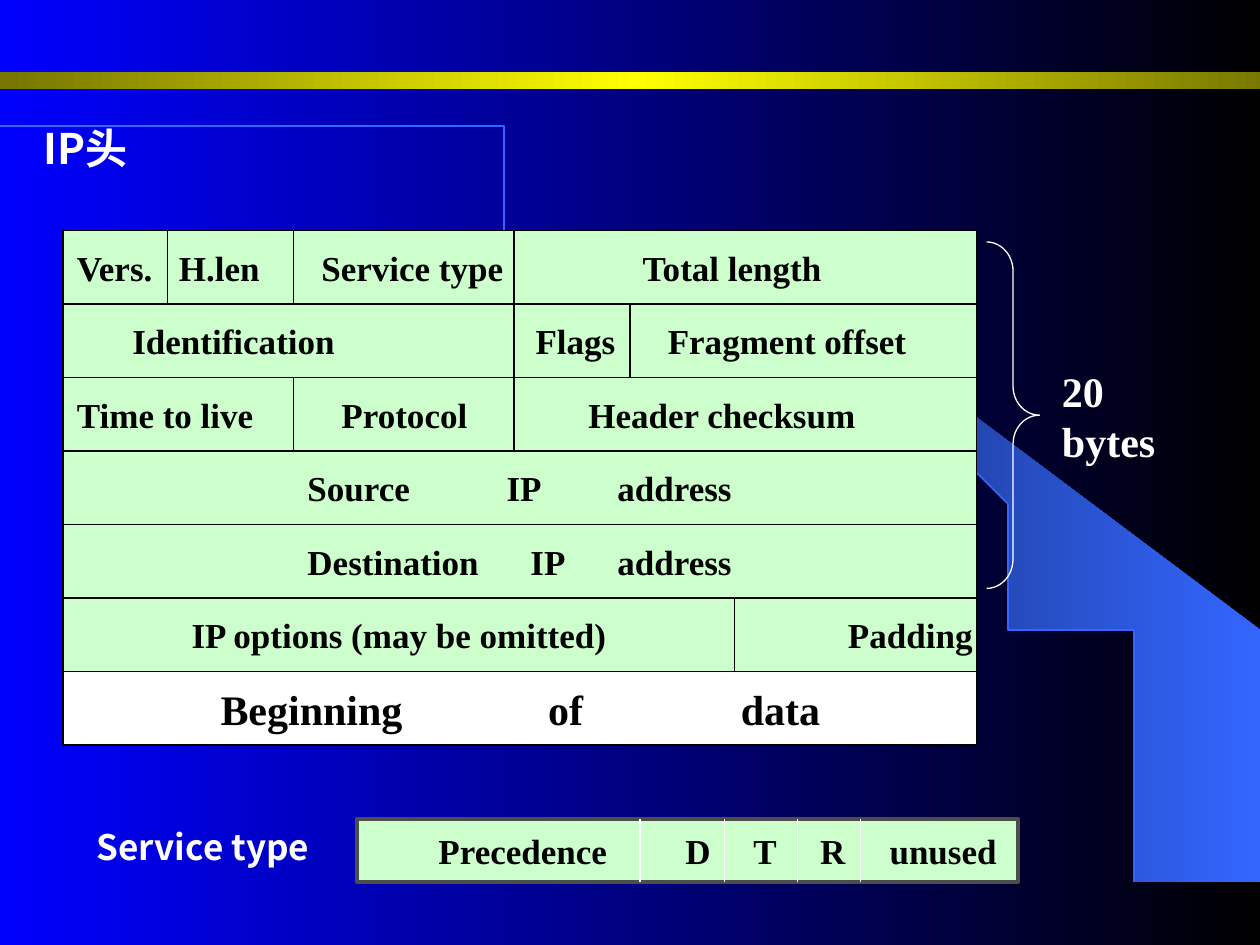
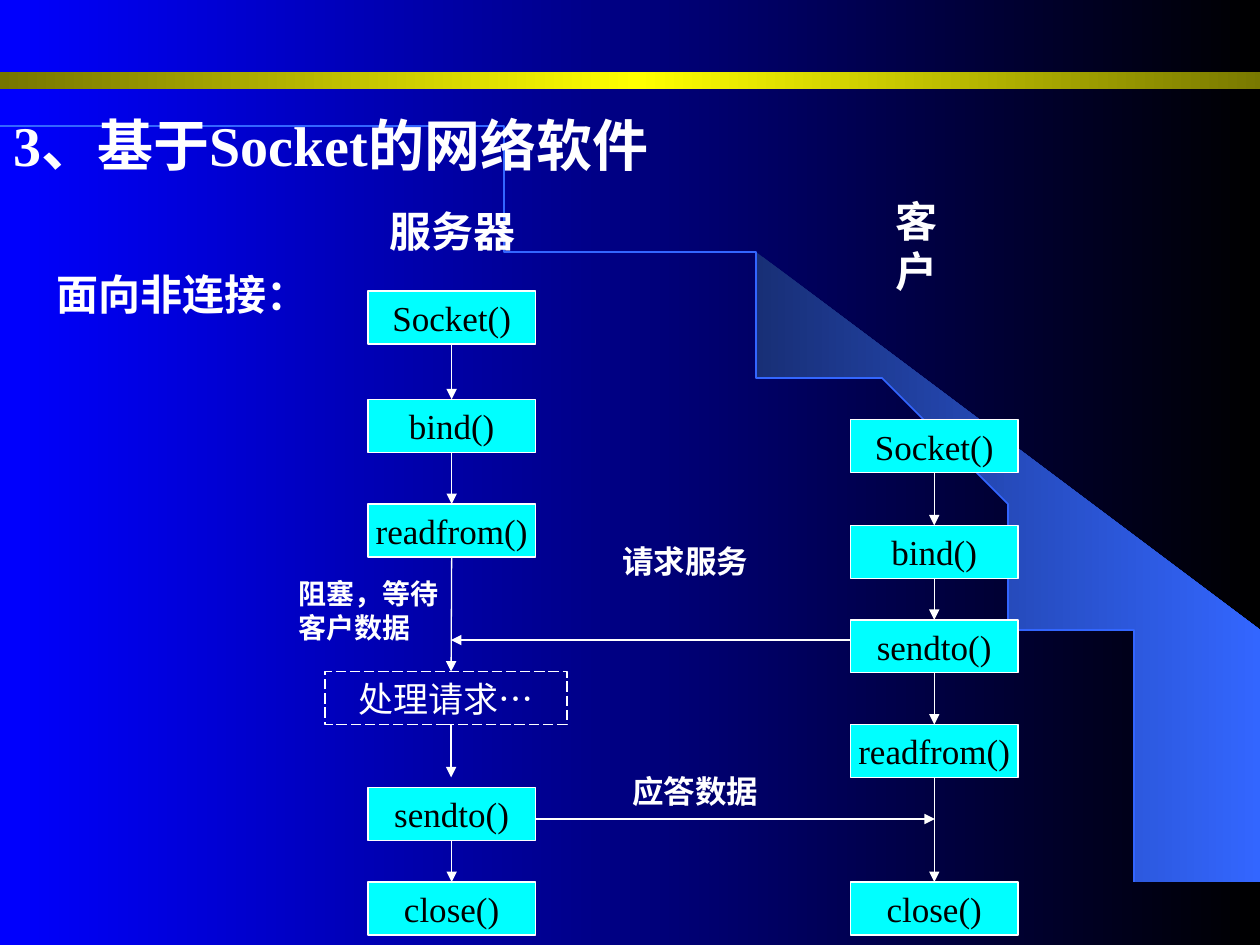
import pptx
import pptx.dml.color
import pptx.enum.dml
import pptx.enum.shapes
import pptx.enum.text
import pptx.oxml
import pptx.oxml.ns
import pptx.util
import copy
import lxml.etree

Inches = pptx.util.Inches
Pt = pptx.util.Pt
qn = pptx.oxml.ns.qn
rgb = pptx.dml.color.RGBColor.from_string
SHAPE = pptx.enum.shapes.MSO_SHAPE

WHITE, BLACK = "FFFFFF", "000000"
MINT, CYAN, BLUE = "CCFFCC", "00FFFF", "3366FF"
SERIF, SANS = "Times New Roman", "Noto Sans CJK SC"


def add_box(page, place, lines, size, color=WHITE, bold=True, font=SERIF, fill=None,
            edge=None, weight=0.75, stops=None, wrap=False):
    """Add a label, or a framed box when edge is set; stops are text starts from the left side."""
    place = [Inches(value) for value in place]
    if edge:
        box = page.shapes.add_shape(SHAPE.RECTANGLE, *place)
        box.shadow.inherit = False
        box.line.color.rgb = rgb(edge)
        box.line.width = Pt(weight)
        if fill:
            box.fill.solid()
            box.fill.fore_color.rgb = rgb(fill)
        else:
            box.fill.background()
    else:
        box = page.shapes.add_textbox(*place)
        box.text_frame.auto_size = pptx.enum.text.MSO_AUTO_SIZE.SHAPE_TO_FIT_TEXT
    frame = box.text_frame
    frame.word_wrap = wrap or bool(stops)
    if edge:
        frame.vertical_anchor = pptx.enum.text.MSO_ANCHOR.MIDDLE
    for number, line in enumerate(lines):
        para = frame.add_paragraph() if number else frame.paragraphs[0]
        centred = edge and not stops
        para.alignment = pptx.enum.text.PP_ALIGN.CENTER if centred else pptx.enum.text.PP_ALIGN.LEFT
        if stops:
            frame.margin_left, frame.margin_right = Inches(stops[0]), 0
            tabs = lxml.etree.SubElement(para._p.get_or_add_pPr(), qn("a:tabLst"))
            for stop in stops[1:]:
                lxml.etree.SubElement(tabs, qn("a:tab"), pos=str(Inches(stop - stops[0])), algn="l")
        span = para.add_run()
        span.text = line
        span.font.size = Pt(size)
        span.font.bold = bold
        span.font.color.rgb = rgb(color)
        span.font.name = font
        lxml.etree.SubElement(span._r.get_or_add_rPr(), qn("a:ea"), typeface=SANS)
    return box


def add_line(page, start, end, color=WHITE, arrow=False):
    line = page.shapes.add_connector(pptx.enum.shapes.MSO_CONNECTOR.STRAIGHT,
                                     *[Inches(value) for value in (*start, *end)])
    line.line.color.rgb = rgb(color)
    line.line.width = Pt(0.75)
    if arrow:
        lxml.etree.SubElement(line.line._get_or_add_ln(), qn("a:tailEnd"), type="triangle")
    lxml.etree.SubElement(line._element.spPr, qn("a:effectLst"))
    return line


deck = pptx.Presentation()
deck.slide_width, deck.slide_height = Inches(10), Inches(7.5)

# Shared background
background = deck.slide_master.background.fill
background.gradient()
background.gradient_angle = 0
for stop, color in zip(background.gradient_stops, ("0000FF", BLACK)):
    stop.color.rgb = rgb(color)

# Quarter ellipse, sampled from its Bezier curve
arc = []
for step in range(61):
    t = step / 60
    arc.append((3 * 5.08 * t * (1 - t) ** 2 + 3 * 9.2 * t ** 2 * (1 - t) + 9.2 * t ** 3,
                0.72 * (1 - t) ** 2 * (1 + 2 * t) + 3 * 3.73 * t ** 2 * (1 - t) + 7.45 * t ** 3))
beam = [(9.2, 7.45), (9.99, 7.45), (9.99, 4.52), (5.89, 2.27), (6.24, 2.51), (6.53, 2.71),
        (6.85, 2.96), (7.16, 3.23), (7.62, 3.69), (8.03, 4.17), (8.32, 4.59), (8.58, 5.03),
        (8.78, 5.46), (8.93, 5.86), (9.03, 6.2), (9.13, 6.62), (9.17, 6.98)]

# Shared beam, arc and gold band
pages = [deck.slides.add_slide(deck.slide_layouts[6]) for _ in range(2)]
for page in pages:
    outlines = []
    for points, closed in ((beam, True), (arc, False)):
        builder = page.shapes.build_freeform(*points[0], scale=Inches(1))
        builder.add_line_segments(points[1:], close=closed)
        outline = builder.convert_to_shape()
        outline.shadow.inherit = False
        outlines.append(outline)
    beam_shape, arc_shape = outlines
    beam_shape.line.fill.background()
    arc_shape.fill.background()
    arc_shape.line.color.rgb = rgb(BLUE)
    arc_shape.line.width = Pt(1)

    band = page.shapes.add_shape(SHAPE.RECTANGLE, 0, Inches(0.57), Inches(10.11), Inches(0.14))
    band.shadow.inherit = False
    band.line.fill.background()
    for shape, colors in ((beam_shape, ("182F76", BLUE)), (band, ("767600", "FFFF00", "767600"))):
        shape.fill.gradient()
        shape.fill.gradient_angle = 0
        stop_list = shape._element.spPr.find(qn("a:gradFill")).find(qn("a:gsLst"))
        if len(colors) == 3:
            stop_list.insert(1, copy.deepcopy(stop_list[0]))
            stop_list[1].set("pos", "50000")
        for stop, color in zip(shape.fill.gradient_stops, colors):
            stop.color.rgb = rgb(color)

header_page, socket_page = pages

# Slide 1: rows of the IP header, each with its fields and their starts
header_rows = [
    ("Vers.\tH.len\tService type\tTotal length", (0.11, 0.92, 2.05, 4.6)),
    ("Identification\tFlags\tFragment offset", (0.55, 3.75, 4.8)),
    ("Time to live\tProtocol\tHeader checksum", (0.11, 2.21, 4.17)),
    ("Source\tIP\taddress", (1.94, 3.52, 4.4)),
    ("Destination\tIP\taddress", (1.94, 3.71, 4.4)),
    ("IP options (may be omitted)\tPadding", (1.02, 6.23)),
    ("Beginning\tof\tdata", (1.25, 3.85, 5.38)),
]
top, row_height = 1.83, 3.5 / 6
for row, (fields, starts) in enumerate(header_rows):
    is_data = row == len(header_rows) - 1
    add_box(header_page, (0.5, top + row * row_height, 7.25, row_height), [fields],
            24 if is_data else 20, BLACK, fill=WHITE if is_data else MINT, edge=BLACK, stops=starts)

# Field dividers: x, first row, row after the last
for x, first, last in ((4.08, 0, 3), (5, 1, 2), (1.33, 0, 1), (2.33, 0, 1), (2.33, 2, 3), (5.83, 5, 6)):
    add_line(header_page, (x, top + first * row_height), (x, top + last * row_height), BLACK)

# Titles and the service type bar
add_box(header_page, (0.25, 0.92, 1.5, 0.5), ["IP头"], 24, font=SANS, wrap=True)
add_box(header_page, (0.67, 6.5, 2, 0.44), ["Service type"], 20, font=SANS, wrap=True)
add_box(header_page, (2.83, 6.5, 5.25, 0.5), ["Precedence\tD\tT\tR\tunused"], 20, BLACK,
        fill=MINT, edge="4D4D4D", weight=2.25, stops=(0.65, 2.61, 3.15, 3.68, 4.23))
for x in (5.08, 5.75, 6.33, 6.83):
    add_line(header_page, (x, 6.5), (x, 7))

# Brace over the fixed part
brace = header_page.shapes.add_shape(SHAPE.RIGHT_BRACE, Inches(7.83), Inches(1.92), Inches(0.42), Inches(2.75))
brace.shadow.inherit = False
brace.adjustments[0] = 0.55
brace.fill.background()
brace.line.color.rgb = rgb(WHITE)
brace.line.width = Pt(0.75)
add_box(header_page, (8.33, 2.85, 1.08, 0.9), ["20 bytes"], 24, wrap=True)

# Slide 2: title and labels
for place, lines, size in (
    ((0.01, 0.83, 5.56, 0.64), ["3、基于Socket的网络软件"], 32),
    ((0.35, 2.08, 2.2, 0.5), ["面向非连接："], 24),
    ((2.99, 1.58, 1.2, 0.5), ["服务器"], 24),
    ((7.01, 1.5, 0.86, 0.5), ["客户"], 24),
    ((4.92, 6.08, 1.2, 0.4), ["应答数据"], 18),
    ((4.84, 4.25, 1.2, 0.4), ["请求服务"], 18),
    ((2.27, 4.53, 1.31, 0.64), ["阻塞，等待", "客户数据"], 16),
):
    add_box(socket_page, place, lines, size)

# Calls of the server and the client
columns = []
for left, calls in (
    (2.92, (("Socket()", 2.31), ("bind()", 3.17), ("readfrom()", 4), ("sendto()", 6.25), ("close()", 7))),
    (6.75, (("Socket()", 3.33), ("bind()", 4.17), ("sendto()", 4.92), ("readfrom()", 5.75), ("close()", 7))),
):
    columns.append([add_box(socket_page, (left, y, 1.33, 0.42), [call], 20, BLACK, False,
                            fill=CYAN, edge=WHITE) for call, y in calls])
server, client = columns
process = add_box(socket_page, (2.58, 5.33, 1.92, 0.42), ["处理请求…"], 20, bold=False, edge=WHITE)
process.line.dash_style = pptx.enum.dml.MSO_LINE.LONG_DASH

# Arrows between neighbouring calls
for upper, lower in [*zip(server[:2], server[1:3]), server[3:], *zip(client, client[1:])]:
    arrow = add_line(socket_page, (0, 0), (0, 0), arrow=True)
    arrow.begin_connect(upper, 2)
    arrow.end_connect(lower, 0)

# Arrows around the processing step, then request and reply
waiting = add_line(socket_page, (3.58, 4.42), (3.58, 5.33), arrow=True)
waiting.begin_connect(server[2], 2)
for start, end in (((3.58, 5.75), (3.58, 6.17)), ((6.75, 5.08), (3.58, 5.08)), ((4.25, 6.5), (7.42, 6.5))):
    add_line(socket_page, start, end, arrow=True)

deck.save("out.pptx")
